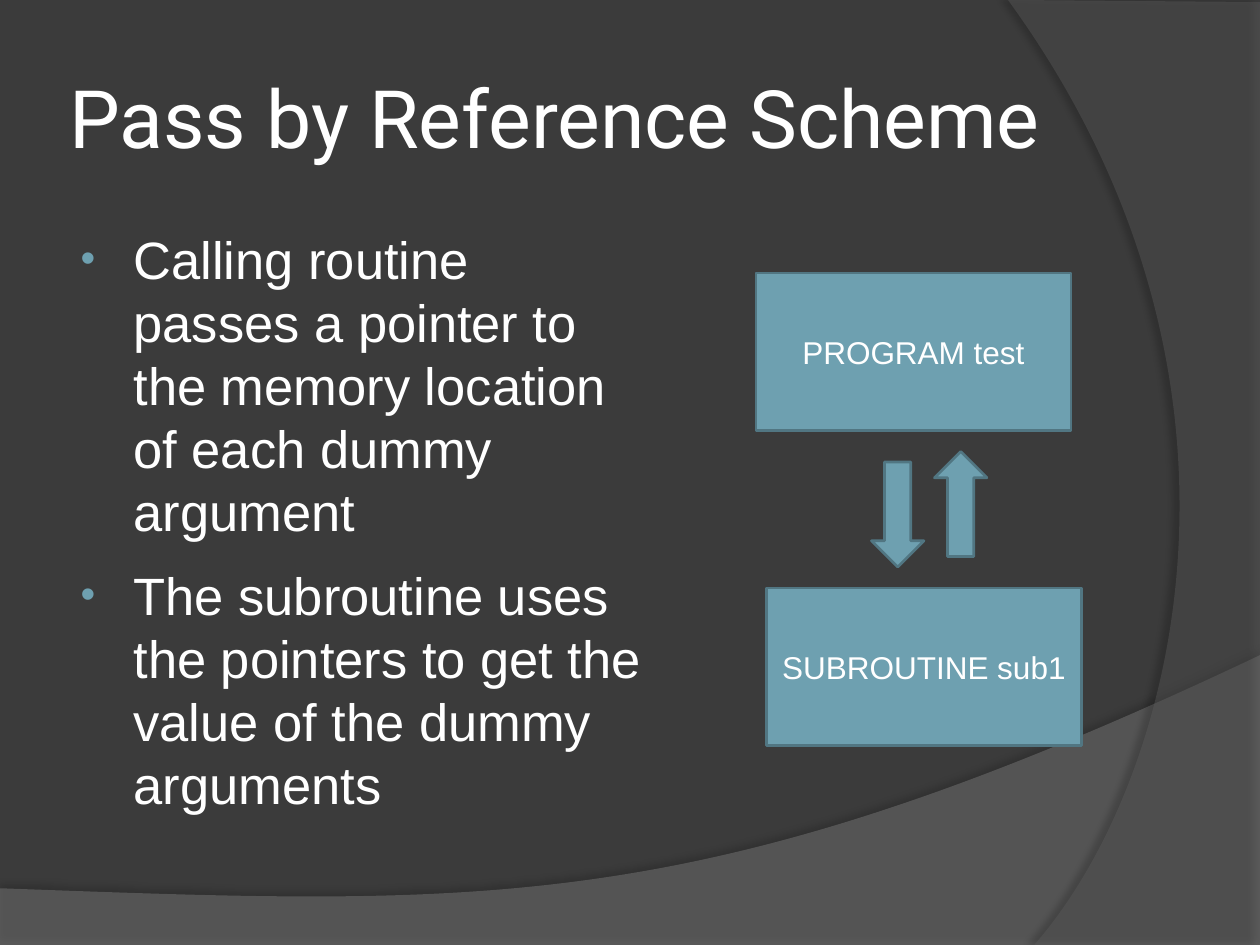
"""Build the Pass by Reference slide on a grid of 120 columns by 90 rows."""
from lxml.etree import SubElement
from pptx import Presentation
from pptx.dml.color import RGBColor
from pptx.enum.shapes import MSO_SHAPE
from pptx.enum.text import MSO_ANCHOR, MSO_AUTO_SIZE, PP_ALIGN
from pptx.oxml import parse_xml
from pptx.oxml.ns import nsdecls, qn
from pptx.util import Inches, Pt

TITLE = "Pass by Reference Scheme"
POINTS = [
    "Calling routine passes a pointer to the memory location of each dummy argument",
    "The subroutine uses the pointers to get the value of the dummy arguments",
]
TITLE_AREA = (6, 3.6, 98, 15)
BODY_AREA = (6, 21, 57, 59.4)
DIAGRAM = [
    (MSO_SHAPE.RECTANGLE, (72, 26, 30, 15), "PROGRAM test"),
    (MSO_SHAPE.RECTANGLE, (73, 56, 30, 15), "SUBROUTINE sub1"),
    (MSO_SHAPE.DOWN_ARROW, (83, 44, 5, 10), ""),
    (MSO_SHAPE.UP_ARROW, (89, 43, 5, 10), ""),
]
WAVES = [
    dict(corners=[(0, 84.6), (0, 90), (120, 90), (120, 62.4)],
         curve=[(67.1, 87.5), (46.9, 86.3), (0, 84.6)],
         color="7F7F7F", opacity=45, shade=35, distance=3.5, angle=270),
    dict(corners=[(120, 0.2), (120, 90), (98.5, 90)],
         curve=[(112.2, 74.3), (122.2, 36), (96, 0)],
         color="5E5E5E", opacity=40, shade=45, distance=4, angle=180),
]
THEME = dict(
    background="3B3B3B", accent="6EA0B0", outline="517682", text="FFFFFF",
    title=dict(name="Roboto", size=Pt(46), bold=False),
    body=dict(name="Arial", size=Pt(30)),
    label=dict(name="Arial", size=Pt(18)),
)
BULLET_SPACING = dict(line_spacing=1.0, space_before=Pt(6), space_after=Pt(6))
COLUMNS, ROWS = 120, 90

prs = Presentation()
prs.slide_width, prs.slide_height = Inches(10), Inches(7.5)


def on_grid(col, row):
    return int(prs.slide_width * col / COLUMNS), int(prs.slide_height * row / ROWS)


def assign(obj, values):
    for name, value in values.items():
        setattr(obj, name, value)


def place(shape, area):
    edges = on_grid(*area[:2]) + on_grid(*area[2:])
    assign(shape, dict(zip(("left", "top", "width", "height"), edges)))


def paint(fill, color):
    fill.solid()
    fill.fore_color.rgb = RGBColor.from_string(color)


def write(p, text, style):
    r = p.add_run()
    r.text = text
    assign(r.font, THEME[style])
    r.font.color.rgb = RGBColor.from_string(THEME["text"])


def bend_last_side(sp, curve):
    side = list(sp.element.iter(qn("a:lnTo")))[-1]
    side.tag = qn("a:cubicBezTo")
    side.remove(side[0])
    for x, y in (on_grid(*pt) for pt in curve):
        SubElement(side, qn("a:pt"), x=str(x - sp.left), y=str(y - sp.top))


def add_wave(s, wave, layer):
    points = [on_grid(*pt) for pt in [*wave["corners"], wave["curve"][-1]]]
    builder = s.shapes.build_freeform(*points[0])
    builder.add_line_segments(points[1:], close=False)
    sp = builder.convert_to_shape()
    bend_last_side(sp, wave["curve"])
    SubElement(next(sp.element.iter(qn("a:path"))), qn("a:close"))
    paint(sp.fill, wave["color"])
    sp.line.fill.background()
    color = sp.element.spPr.find(qn("a:solidFill"))[0]
    SubElement(color, qn("a:alpha"), val=str(wave["opacity"] * 1000))
    sp.element.spPr.append(parse_xml(
        f'<a:effectLst {nsdecls("a")}><a:outerShdw blurRad="{Pt(4)}" '
        f'dist="{Pt(wave["distance"])}" dir="{wave["angle"] * 60000}" algn="ctr" rotWithShape="0">'
        f'<a:srgbClr val="000000"><a:alpha val="{wave["shade"] * 1000}"/></a:srgbClr>'
        '</a:outerShdw></a:effectLst>'))
    s.shapes.element.insert(2 + layer, sp.element)


def add_bullet(p, text):
    write(p, text, "body")
    assign(p, BULLET_SPACING)
    pPr = p._p.get_or_add_pPr()
    pPr.set("marL", str(Inches(0.46)))
    pPr.set("indent", str(Inches(-0.42)))
    SubElement(SubElement(pPr, qn("a:buClr")), qn("a:srgbClr"), val=THEME["accent"])
    SubElement(pPr, qn("a:buSzPct"), val="80000")
    SubElement(pPr, qn("a:buFont"), typeface="Arial")
    SubElement(pPr, qn("a:buChar"), char="•")


def add_node(s, kind, area, text):
    sp = s.shapes.add_shape(kind, 0, 0, 0, 0)
    place(sp, area)
    sp.shadow.inherit = False
    paint(sp.fill, THEME["accent"])
    paint(sp.line.fill, THEME["outline"])
    sp.line.width = Pt(1.5)
    if text:
        tf = sp.text_frame
        assign(tf, dict(word_wrap=True, vertical_anchor=MSO_ANCHOR.MIDDLE))
        p = tf.paragraphs[0]
        p.alignment = PP_ALIGN.CENTER
        write(p, text, "label")


def main():
    s = prs.slides.add_slide(prs.slide_layouts[1])
    paint(s.background.fill, THEME["background"])
    for layer, wave in enumerate(WAVES):
        add_wave(s, wave, layer)

    title, body = s.shapes.title, s.placeholders[1]
    place(title, TITLE_AREA)
    tf = title.text_frame
    assign(tf, dict(vertical_anchor=MSO_ANCHOR.MIDDLE, word_wrap=True,
                    auto_size=MSO_AUTO_SIZE.NONE))
    assign(tf, {f"margin_{side}": Inches(0.05) for side in ("left", "top", "right", "bottom")})
    tf.paragraphs[0].alignment = PP_ALIGN.LEFT
    write(tf.paragraphs[0], TITLE, "title")

    place(body, BODY_AREA)
    tf = body.text_frame
    assign(tf, dict(word_wrap=True, auto_size=MSO_AUTO_SIZE.NONE))
    for i, text in enumerate(POINTS):
        add_bullet(tf.add_paragraph() if i else tf.paragraphs[0], text)

    for kind, area, text in DIAGRAM:
        add_node(s, kind, area, text)
    prs.save("out.pptx")


if __name__ == "__main__":
    main()
